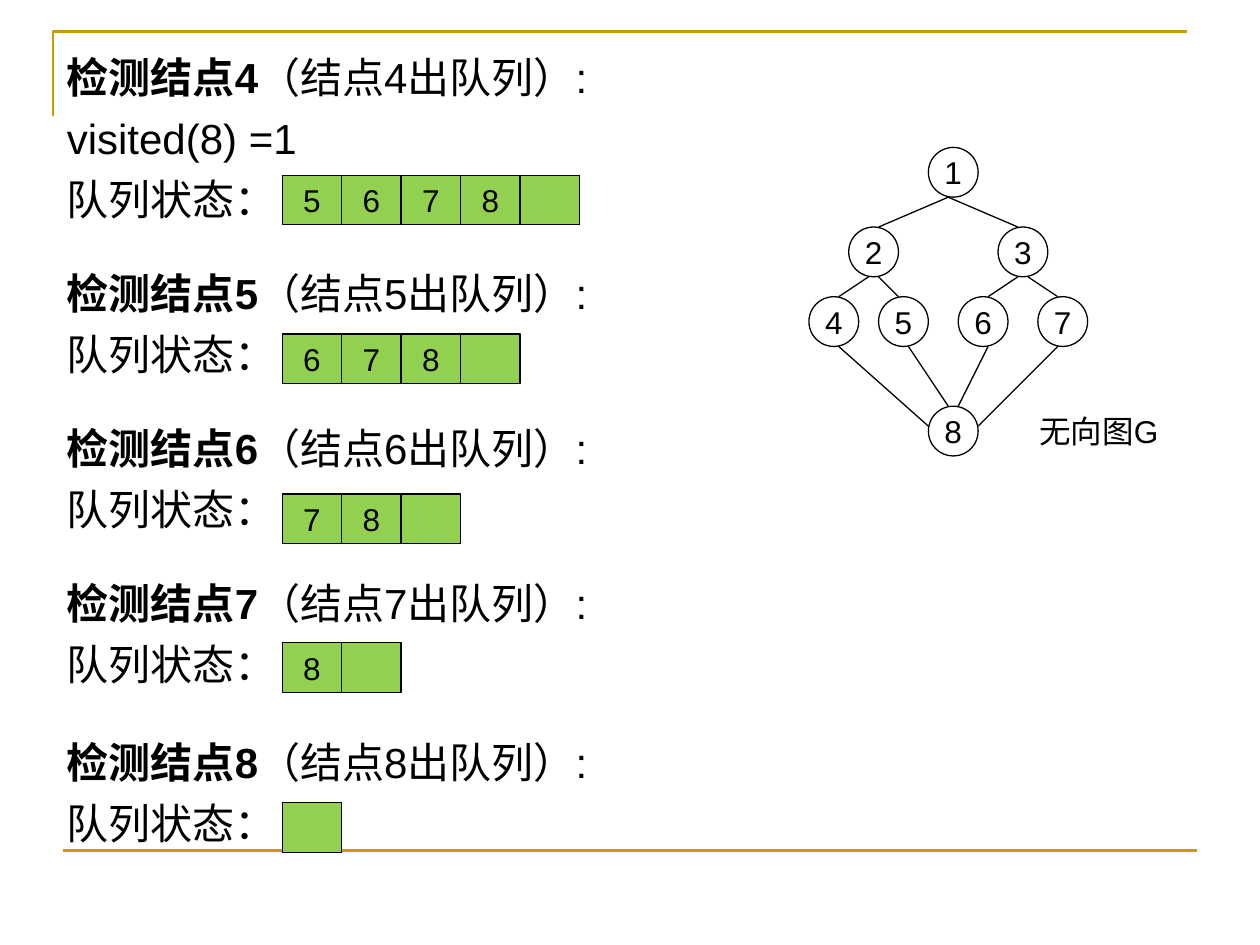
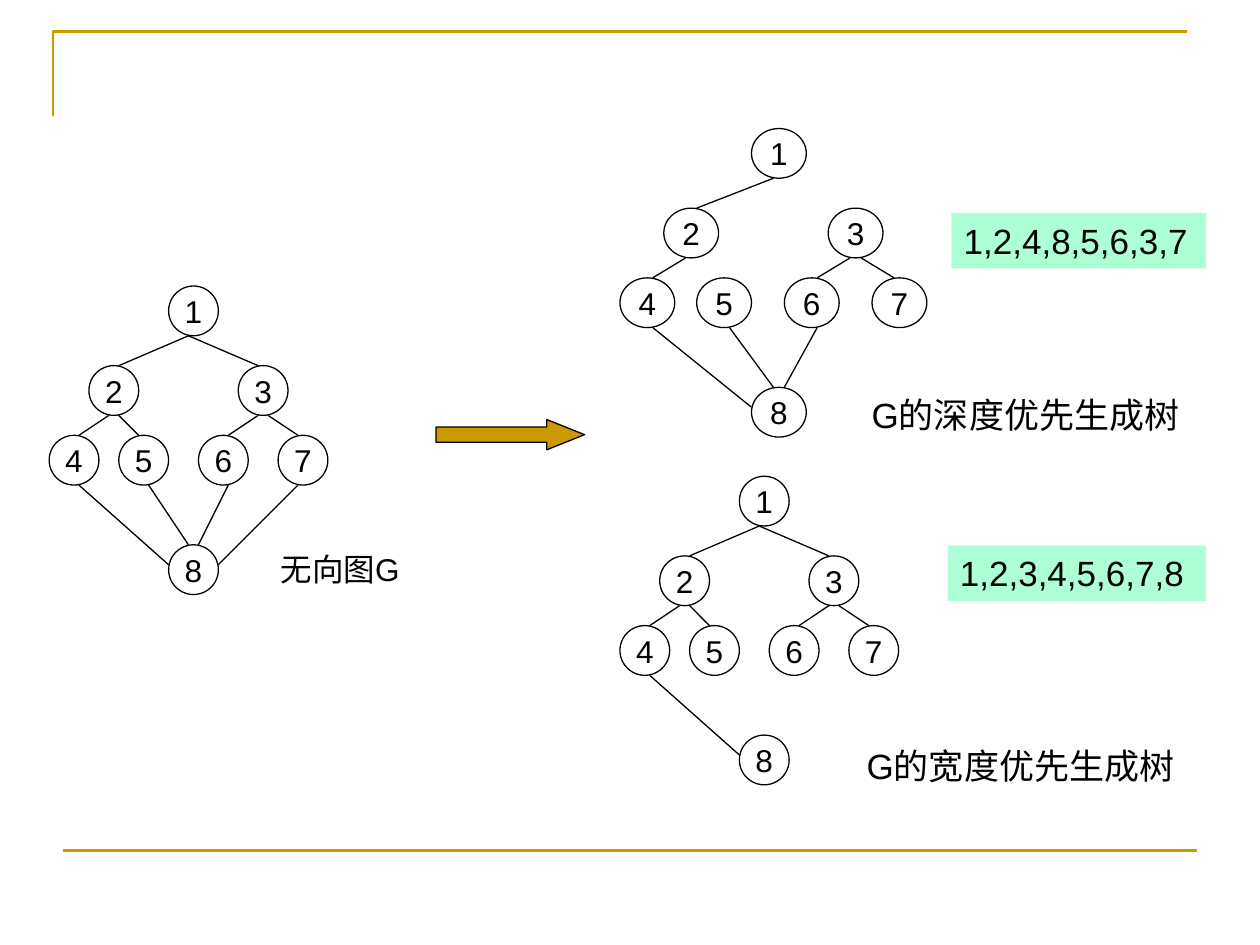
"""Builds two slides on breadth-first search: queue states and spanning trees."""
from lxml.etree import SubElement
from pptx import Presentation
from pptx.dml.color import RGBColor
from pptx.enum.shapes import MSO_CONNECTOR, MSO_SHAPE
from pptx.enum.text import MSO_ANCHOR, MSO_AUTO_SIZE, PP_ALIGN
from pptx.oxml.ns import qn
from pptx.util import Inches, Pt

GOLD = RGBColor(0xCC, 0x99, 0x00)
BLACK = RGBColor(0x00, 0x00, 0x00)
GREEN = RGBColor(0x92, 0xD0, 0x50)
MINT = RGBColor(0xAD, 0xFF, 0xD6)
FONT = "Arial"

deck = Presentation()
deck.slide_width, deck.slide_height = Inches(10), Inches(7.5)
GRID = deck.slide_width / 100


def at(*spans):
    """Turn grid columns and rows into lengths."""
    return [round(span * GRID) for span in spans]


def draw(shapes, kind, spot, fill=None, edge=None, text="", size=18, mid=True):
    """Draw one shape, or a text box when kind is None, with its label."""
    if kind is None:
        shape = shapes.add_textbox(*at(*spot))
    else:
        shape = shapes.add_shape(kind, *at(*spot))
        shape.shadow.inherit = False
    if fill is None:
        shape.fill.background()
    else:
        shape.fill.solid()
        shape.fill.fore_color.rgb = fill
    if edge is None:
        shape.line.fill.background()
    else:
        shape.line.color.rgb = edge
        shape.line.width = Pt(0.75)
    if text:
        frame = shape.text_frame
        frame.text = text
        frame.word_wrap = not mid
        frame.vertical_anchor = MSO_ANCHOR.MIDDLE if mid else MSO_ANCHOR.TOP
        para = frame.paragraphs[0]
        para.alignment = PP_ALIGN.CENTER if mid else PP_ALIGN.LEFT
        font = para.runs[0].font
        font.name, font.size, font.color.rgb = FONT, Pt(size), BLACK
    return shape


queue = deck.slides.add_slide(deck.slide_layouts[1])
trees = deck.slides.add_slide(deck.slide_layouts[6])
lines = []

# Frame shared by all slides
path = queue.shapes.build_freeform(*at(4.2, 9.2), scale=1.0)
path.add_line_segments([at(4.2, 2.5), at(94.2, 2.5)], close=False)
band = path.convert_to_shape()
band.shadow.inherit = False
band.fill.background()
band.line.color.rgb = GOLD
band.line.width = Pt(1.5)
foot = queue.shapes.add_connector(MSO_CONNECTOR.STRAIGHT, *at(5, 67.5, 95, 67.5))
lines.append((foot, GOLD, 1.5))
for part in (band, foot):
    deck.slide_master.shapes.element.append(part.element)

# Queue steps
title = queue.shapes.title.element
title.getparent().remove(title)
body = queue.placeholders[1]
body.left, body.top, body.width, body.height = at(4.3, 3.6, 87.4, 60.3)
frame = body.text_frame
frame.auto_size = MSO_AUTO_SIZE.NONE
frame.vertical_anchor = MSO_ANCHOR.TOP
STATE = "队列状态："
rows = []
for node, gap in zip(range(4, 9), (0, 25, 25, 25, 27)):
    rows.append(([f"检测结点{node}", f"（结点{node}出队列）:"], gap))
    if node == 4:
        rows.append((["visited(8) =1"], 6))
    rows.append(([STATE], 6))
for step, (words, gap) in enumerate(rows):
    para = frame.paragraphs[0] if step == 0 else frame.add_paragraph()
    props = para._p.get_or_add_pPr()
    props.set("marL", "0")
    props.set("indent", "0")
    SubElement(props, qn("a:buNone"))
    para.space_before = Pt(gap)
    for word in words:
        run = para.add_run()
        run.text = word
        font = run.font
        font.name, font.size, font.color.rgb = FONT, Pt(24), BLACK
        font.bold = len(words) == 2 and word == words[0]

CELL_W, CELL_H = 4.72, 3.94
for first, top in zip(range(5, 10), (13.9, 26.5, 39.2, 51, 63.7)):
    for col, node in enumerate([*range(first, 9), ""]):
        spot = (22.4 + col * CELL_W, top, CELL_W, CELL_H)
        draw(queue.shapes, MSO_SHAPE.RECTANGLE, spot, GREEN, BLACK, str(node))

# Graphs: nodes and edges in cells of a small grid
NODES = [(12, 0), (4, 8), (19, 8), (0, 15), (7, 15), (15, 15), (23, 15), (12, 26)]
EDGES = {
    "12": (14, 5, 7, 8), "13": (14, 5, 21, 8),
    "24": (6, 13, 3, 15), "25": (7, 13, 9, 15),
    "36": (21, 13, 18, 15), "37": (22, 13, 25, 15),
    "48": (3, 20, 12, 28), "58": (10, 20, 14, 26),
    "68": (18, 20, 15, 26), "78": (25, 20, 17, 28),
}
UNIT = 0.79
DEEP = ["12", "24", "36", "37", "48", "58", "68"]
WIDE = ["12", "13", "24", "25", "36", "37", "48"]
GRAPHS = [
    (queue, 64.2, 11.7, UNIT, EDGES, "无向图G", 18, (81.5, 32.2, 13.4, 4)),
    (trees, 3.9, 22.7, UNIT, EDGES, "无向图G", 18, (21.3, 43.2, 13.4, 4)),
    (trees, 49.2, 37.8, UNIT, WIDE, "G的宽度优先生成树", 20, (67.8, 58.6, 27.1, 4.4)),
    (trees, 49.2, 10.2, 0.87, DEEP, "G的深度优先生成树", 20, (68.2, 30.7, 26.7, 7.7)),
]
for slide, left, top, unit, edges, name, size, spot in GRAPHS:
    shapes = slide.shapes.add_group_shape().shapes
    for num, (x, y) in enumerate(NODES, 1):
        ring = (left + x * unit, top + y * UNIT, 5 * unit, 5 * UNIT)
        draw(shapes, MSO_SHAPE.OVAL, ring, edge=BLACK, text=str(num))
    for edge in edges:
        x1, y1, x2, y2 = EDGES[edge]
        ends = at(left + x1 * unit, top + y1 * UNIT, left + x2 * unit, top + y2 * UNIT)
        link = shapes.add_connector(MSO_CONNECTOR.STRAIGHT, *ends)
        lines.append((link, BLACK, 0.75))
    draw(shapes, None, spot, text=name, size=size, mid=False)

arrow = draw(trees.shapes, MSO_SHAPE.RIGHT_ARROW, (34.6, 33.3, 11.8, 2.4), GOLD, BLACK)
arrow.adjustments[0], arrow.adjustments[1] = 0.5, 1.25
for spot, order in (
    ((75.5, 16.9, 20.2, 4.4), "1,2,4,8,5,6,3,7"),
    ((75.2, 43.3, 20.5, 4.4), "1,2,3,4,5,6,7,8"),
):
    draw(trees.shapes, MSO_SHAPE.RECTANGLE, spot, MINT, None, order, 20, False)

for line, tint, width in lines:
    line.line.color.rgb = tint
    line.line.width = Pt(width)
    SubElement(line.element.spPr, qn("a:effectLst"))

deck.save("out.pptx")
